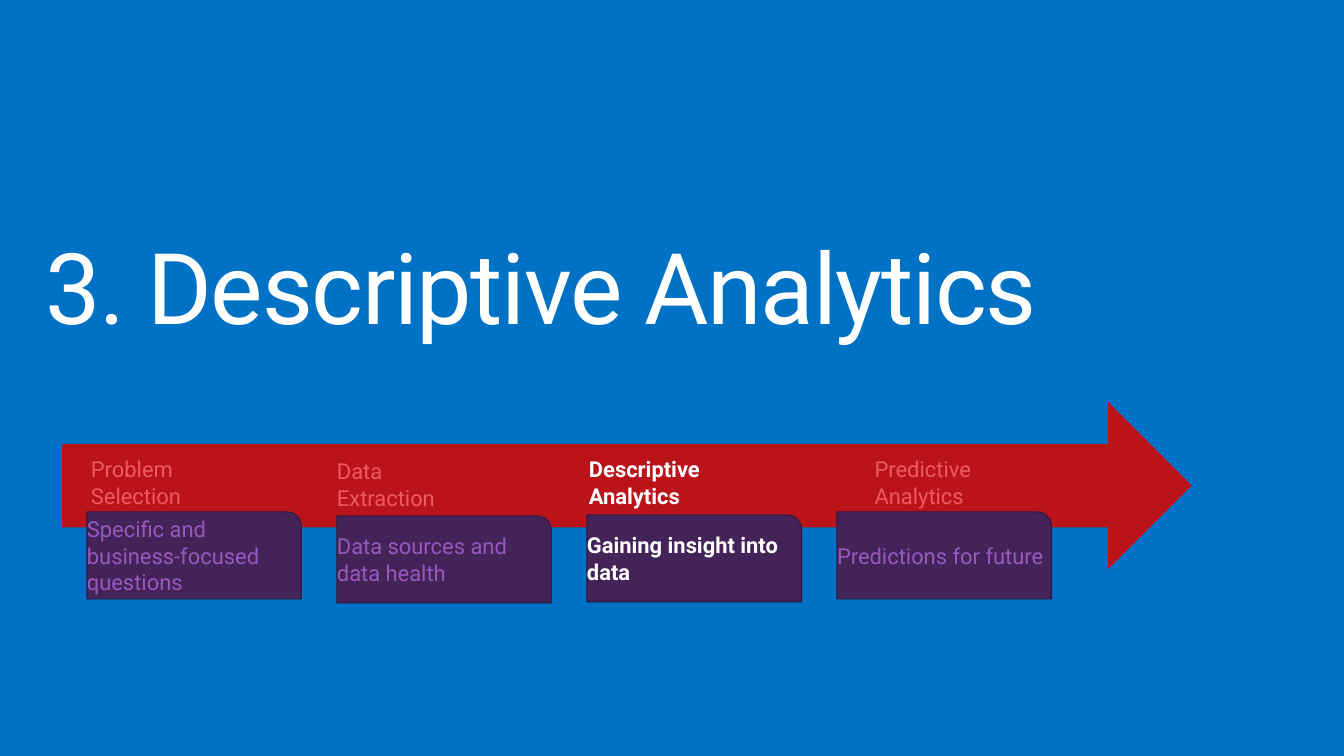
from pptx import Presentation
from pptx.dml.color import RGBColor as Rgb
from pptx.enum.shapes import MSO_SHAPE as Kind
from pptx.enum.text import MSO_ANCHOR as Anchor, PP_ALIGN as Align
from pptx.util import Inches, Pt

HUES = {
    "back": "0072C6", "white": "FFFFFF", "red": "BA141A", "pink": "ED5A60",
    "plum": "442359", "edge": "321A42", "lilac": "9659BE",
}
STEPS = [
    (0.92, 4.64, "Problem\nSelection", 5.18, "Specific and business-focused questions"),
    (3.41, 4.66, "Data Extraction", 5.22, "Data sources and data health"),
    (5.96, 4.64, "Descriptive\nAnalytics", 5.21, "Gaining insight into data"),
    (8.85, 4.64, "Predictive\nAnalytics", 5.18, "Predictions for future"),
]
ACTIVE = 2


class Deck:
    """Holds the style and the current slide."""

    def __init__(self):
        self.show = Presentation()
        self.show.slide_width = Inches(13.6)
        self.show.slide_height = Inches(7.65)
        self.slide = self.show.slides.add_slide(self.show.slide_layouts[6])
        self.paint(self.slide.background.fill, "back")

    def paint(self, fill, hue):
        fill.solid()
        fill.fore_color.rgb = Rgb.from_string(HUES[hue])

    def label(self, frame, text, size, hue, pads, bold=False):
        frame.word_wrap = True
        frame.margin_left = frame.margin_right = Inches(pads[0])
        frame.margin_top = frame.margin_bottom = Inches(pads[1])
        frame.text = text
        for para in frame.paragraphs:
            para.alignment = Align.LEFT
            for run in para.runs:
                font = run.font
                font.name, font.size, font.bold = "Roboto", Pt(size), bold
                font.color.rgb = Rgb.from_string(HUES[hue])

    def title(self, text, box):
        frame = self.slide.shapes.add_textbox(*map(Inches, box)).text_frame
        self.label(frame, text, 72, "white", (0.16, 0.1))
        para = frame.paragraphs[0]
        para.line_spacing = 0.9
        para.runs[0]._r.get_or_add_rPr().set("spc", "-100")

    def shape(self, kind, box, fill, edge=None):
        item = self.slide.shapes.add_shape(kind, *map(Inches, box))
        item.shadow.inherit = False
        self.paint(item.fill, fill)
        if edge:
            self.paint(item.line.fill, edge)
            item.line.width = Pt(0.85)
        else:
            item.line.fill.background()
        return item

    def panel(self, kind, box, fill, text, hue, bold, edge=None):
        frame = self.shape(kind, box, fill, edge).text_frame
        frame.vertical_anchor = Anchor.MIDDLE
        self.label(frame, text, 16, hue, (0, 0.05), bold)


def main():
    deck = Deck()
    deck.title("3. Descriptive Analytics", (0.3, 2.32, 13, 1.29))
    deck.shape(Kind.RIGHT_ARROW, (0.63, 4.07, 11.43, 1.69), "red")
    for i, (left, top, name, low, note) in enumerate(STEPS):
        bold = i == ACTIVE
        deck.panel(Kind.RECTANGLE, (left, top, 1.32, 0.48), "red",
                   name, "white" if bold else "pink", bold)
        deck.panel(Kind.ROUND_1_RECTANGLE, (0.88 + 2.53 * i, low, 2.17, 0.88),
                   "plum", note, "white" if bold else "lilac", bold, "edge")
    deck.show.save("out.pptx")


if __name__ == "__main__":
    main()
